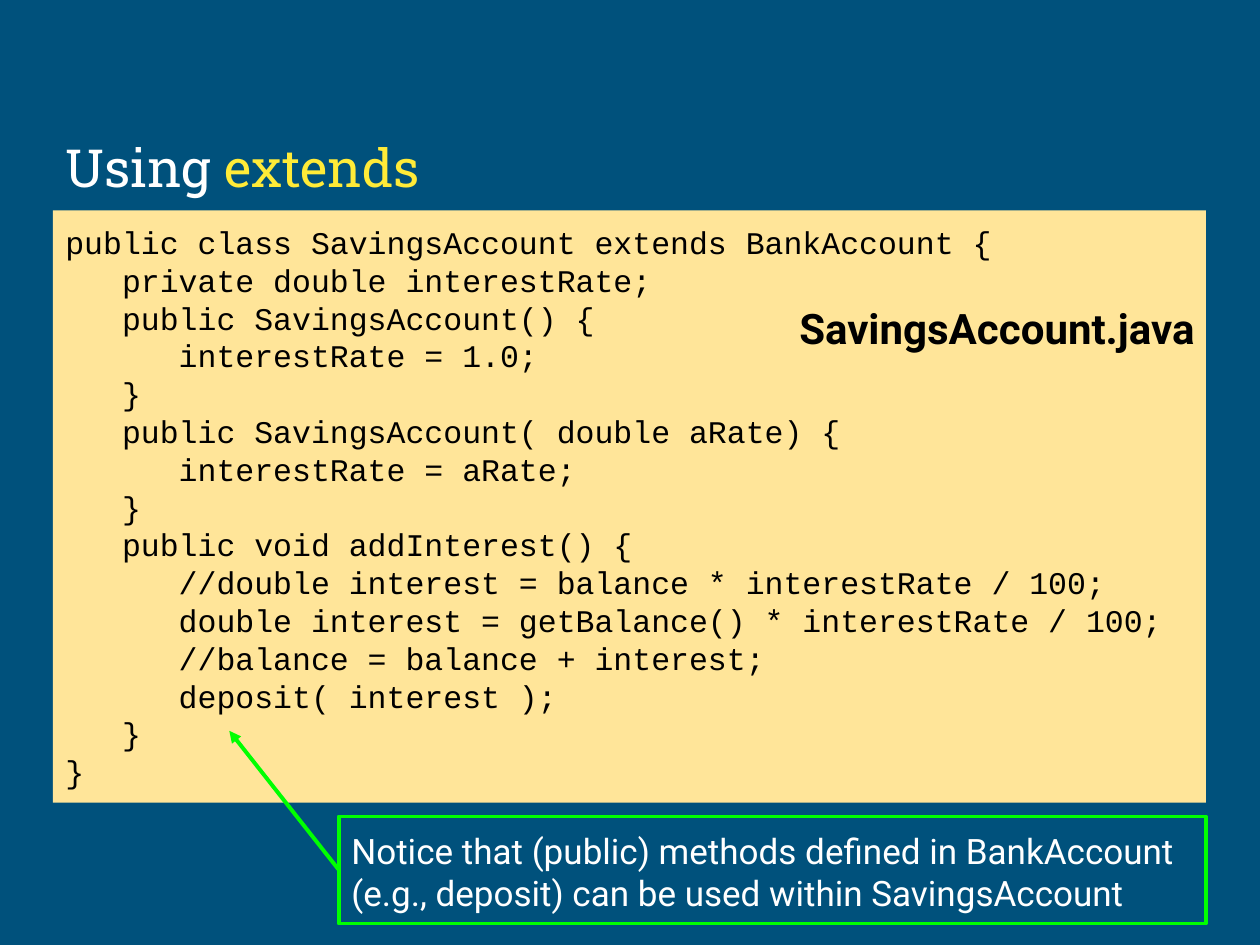
import pptx
import pptx.dml.color
import pptx.enum.shapes
import pptx.enum.text
import pptx.oxml.ns
import pptx.util
from lxml import etree

Pt = pptx.util.Pt
RGBColor = pptx.dml.color.RGBColor
Anchor = pptx.enum.text.MSO_ANCHOR
Align = pptx.enum.text.PP_ALIGN

NAVY = RGBColor(0x00, 0x51, 0x7C)
WHITE = RGBColor(0xFF, 0xFF, 0xFF)
YELLOW = RGBColor(0xFF, 0xEB, 0x38)
SAND = RGBColor(0xFF, 0xE5, 0x99)
BLACK = RGBColor(0x00, 0x00, 0x00)
GREEN = RGBColor(0x00, 0xFF, 0x00)

LEFT, WIDTH = 30.24, 658.8
LINE_WIDTH = 2.25

CODE = """public class SavingsAccount extends BankAccount {
   private double interestRate;
   public SavingsAccount() {
      interestRate = 1.0;
   }
   public SavingsAccount( double aRate) {
      interestRate = aRate;
   }
   public void addInterest() {
      //double interest = balance * interestRate / 100;
      double interest = getBalance() * interestRate / 100;
      //balance = balance + interest;
      deposit( interest );
   }
}"""


def set_up_frame(shape, anchor=Anchor.TOP):
    frame = shape.text_frame
    frame.word_wrap = True
    frame.vertical_anchor = anchor
    frame.margin_left = frame.margin_right = Pt(7.2)
    frame.margin_top = frame.margin_bottom = Pt(7.2)
    return frame


def style_paragraph(paragraph, name, size, color, bold=False, align=Align.LEFT):
    paragraph.alignment = align
    font = paragraph.font
    font.name, font.size, font.bold = name, Pt(size), bold
    font.color.rgb = color


def add_text(slide, left, top, width, height, anchor=Anchor.TOP):
    shape = slide.shapes.add_textbox(Pt(left), Pt(top), Pt(width), Pt(height))
    return set_up_frame(shape, anchor)


def add_box(slide, left, top, width, height, fill=None, line=None):
    shape = slide.shapes.add_shape(
        pptx.enum.shapes.MSO_SHAPE.RECTANGLE,
        Pt(left), Pt(top), Pt(width), Pt(height))
    shape.shadow.inherit = False
    if fill is None:
        shape.fill.background()
    else:
        shape.fill.solid()
        shape.fill.fore_color.rgb = fill
    if line is None:
        shape.line.fill.background()
    else:
        shape.line.color.rgb = line
        shape.line.width = Pt(LINE_WIDTH)
    set_up_frame(shape)
    return shape


def add_arrow(slide, source, side, end_x, end_y, color):
    arrow = slide.shapes.add_connector(
        pptx.enum.shapes.MSO_CONNECTOR.STRAIGHT, 0, 0, Pt(end_x), Pt(end_y))
    arrow.begin_connect(source, side)
    arrow.line.color.rgb = color
    arrow.line.width = Pt(LINE_WIDTH)
    qn = pptx.oxml.ns.qn
    etree.SubElement(arrow.line._get_or_add_ln(), qn("a:tailEnd"), type="triangle")
    etree.SubElement(arrow._element.spPr, qn("a:effectLst"))


def main():
    presentation = pptx.Presentation()
    presentation.slide_width = Pt(720)
    presentation.slide_height = Pt(540)
    slide = presentation.slides.add_slide(presentation.slide_layouts[6])
    slide.background.fill.solid()
    slide.background.fill.fore_color.rgb = NAVY

    # Title with the keyword highlighted
    title = add_text(slide, LEFT, 48.24, WIDTH, 72, Anchor.BOTTOM).paragraphs[0]
    style_paragraph(title, "Roboto Slab", 30, WHITE)
    for text, color in (("Using ", WHITE), ("extends", YELLOW)):
        run = title.add_run()
        run.text = text
        run.font.color.rgb = color

    # Code listing
    listing = add_box(slide, LEFT, 120.24, WIDTH, 338.4, fill=SAND).text_frame
    listing.text = CODE
    for paragraph in listing.paragraphs:
        style_paragraph(paragraph, "Courier New", 18, BLACK)
        paragraph.line_spacing = Pt(21.6)

    # File name
    file_name = add_text(slide, 444.24, 165.6, 245.52, 41.04).paragraphs[0]
    file_name.text = "SavingsAccount.java"
    style_paragraph(file_name, "Roboto", 24, BLACK, bold=True, align=Align.RIGHT)

    # Remark, pointing at the deposit call
    remark = add_box(slide, 193.68, 466.56, 495.36, 61.2, line=GREEN)
    paragraph = remark.text_frame.paragraphs[0]
    paragraph.text = ("Notice that (public) methods defined in BankAccount "
                      "(e.g., deposit) can be used within SavingsAccount")
    style_paragraph(paragraph, "Roboto", 20, WHITE)
    add_arrow(slide, remark, 1, 131.04, 417.6, GREEN)

    presentation.save("out.pptx")


if __name__ == "__main__":
    main()
